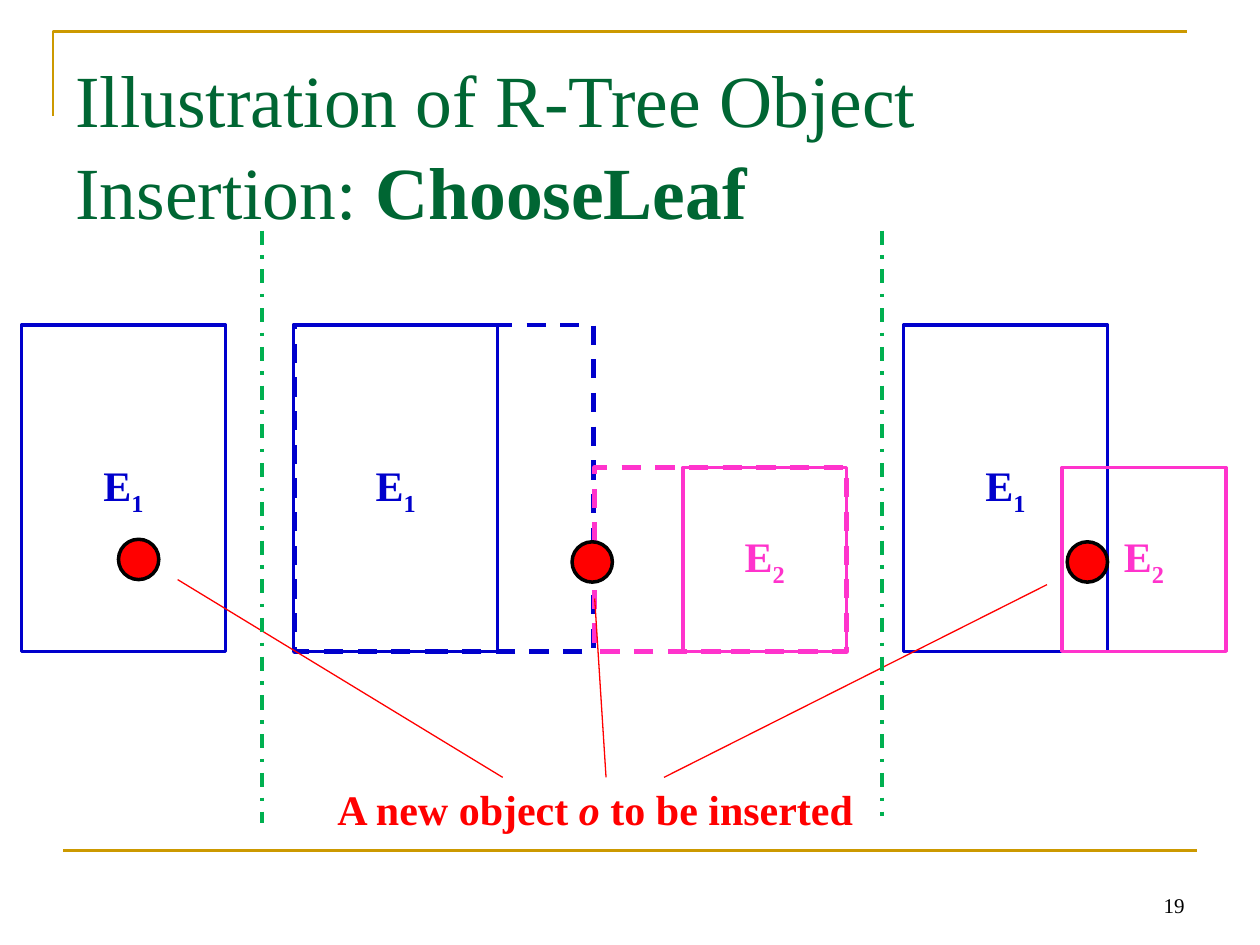
from lxml import etree
from pptx import Presentation
from pptx import util as u
from pptx.dml.color import RGBColor
from pptx.enum import dml, shapes, text
from pptx.oxml.ns import qn

# The slide is a grid of 100 columns by 75 rows; boxes are (column, row, columns, rows).
COLUMNS, ROWS = 100, 75
CELL = u.Inches(0.1)
FONT = "Times New Roman"

GOLD = RGBColor(0xCC, 0x99, 0x00)
DARK_GREEN = RGBColor(0x00, 0x66, 0x33)
GREEN = RGBColor(0x00, 0xB0, 0x50)
BLUE = RGBColor(0x00, 0x00, 0xCC)
PINK = RGBColor(0xFF, 0x33, 0xCC)
RED = RGBColor(0xFF, 0x00, 0x00)
BLACK = RGBColor(0x00, 0x00, 0x00)
WHITE = RGBColor(0xFF, 0xFF, 0xFF)

E1_SIZE = (16.2, 25.9)
E2_SIZE = (13, 14.6)
E2_ROW = E1_SIZE[1] - E2_SIZE[1]
OBJECT_SIZE = (3.2, 3.2)


def grid(*cells):
    return [round(cell * CELL) for cell in cells]


def place(panel, column, row, size):
    """Return the box of a part at an offset inside its panel."""
    return (panel[0] + column, panel[1] + row, *size)


def write(frame, pieces, size, color, align=text.PP_ALIGN.LEFT):
    """Fill the first paragraph with (words, style) pieces; style names a font flag."""
    frame.word_wrap = True
    paragraph = frame.paragraphs[0]
    paragraph.alignment = align
    for words, styles in pieces:
        run = paragraph.add_run()
        run.text = words
        run.font.name = FONT
        run.font.size = u.Pt(size)
        run.font.color.rgb = color
        run.font.bold = "bold" in styles
        run.font.italic = "italic" in styles
        if "sub" in styles:
            run.font._element.set("baseline", "-25000")


def add_text(slide, box, pieces, size, color, **layout):
    frame = slide.shapes.add_textbox(*grid(*box)).text_frame
    write(frame, pieces, size, color, **layout)
    return frame


def add_line(slide, start, end, color, width, dash=None):
    line = slide.shapes.add_connector(
        shapes.MSO_CONNECTOR.STRAIGHT, *grid(*start, *end))
    line.line.color.rgb = color
    line.line.width = u.Pt(width)
    if dash:
        line.line.dash_style = dash
    etree.SubElement(line._element.spPr, qn("a:effectLst"))


def add_outline(slide, box, color, width=2, fill=None, dash=None,
                kind=shapes.MSO_SHAPE.RECTANGLE):
    shape = slide.shapes.add_shape(kind, *grid(*box))
    shape.shadow.inherit = False
    if fill is None:
        shape.fill.background()
    else:
        shape.fill.solid()
        shape.fill.fore_color.rgb = fill
    shape.line.color.rgb = color
    shape.line.width = u.Pt(width)
    if dash:
        shape.line.dash_style = dash
    return shape


def add_entry(slide, box, number, color, fill=WHITE):
    """Draw the labelled bounding rectangle of one tree entry."""
    entry = add_outline(slide, box, color, fill=fill)
    entry.text_frame.vertical_anchor = text.MSO_ANCHOR.MIDDLE
    write(entry.text_frame, [("E", "bold"), (number, "bold sub")], 24, color,
          align=text.PP_ALIGN.CENTER)


def add_enlarged(slide, box, color):
    add_outline(slide, box, color, width=2.75, dash=dml.MSO_LINE.DASH)


def add_object(slide, box):
    add_outline(slide, box, BLACK, fill=RED, kind=shapes.MSO_SHAPE.OVAL)


def add_frame(slide, box):
    """Draw the gold corner at the top left and the rule at the foot."""
    left, top, width, height = box
    corner = slide.shapes.build_freeform(*grid(left, top + 6.7))
    corner.add_line_segments(
        [grid(left, top), grid(left + width, top)], close=False)
    outline = corner.convert_to_shape()
    outline.shadow.inherit = False
    outline.fill.background()
    outline.line.color.rgb = GOLD
    outline.line.width = u.Pt(1.5)
    foot = top + height
    add_line(slide, (left + 0.8, foot), (left + 0.8 + width, foot), GOLD, 1.5)


def add_title(slide, box):
    frame = add_text(slide, box,
                     [("Illustration of R-Tree Object Insertion: ", ""),
                      ("ChooseLeaf", "bold")], 42, DARK_GREEN)
    frame.margin_top = u.Inches(0.1)
    frame.paragraphs[0].line_spacing = 1.04


def add_contained_case(slide, panel):
    add_entry(slide, place(panel, 0, 0, E1_SIZE), "1", BLUE)
    add_object(slide, place(panel, 7.7, 17, OBJECT_SIZE))


def add_enlargement_case(slide, panel):
    add_entry(slide, place(panel, 0, 0, E1_SIZE), "1", BLUE)
    add_entry(slide, place(panel, 30.9, E2_ROW, E2_SIZE), "2", PINK)
    add_enlarged(slide, place(panel, 0.1, 0, (23.7, E1_SIZE[1])), BLUE)
    add_enlarged(slide, place(panel, 23.9, E2_ROW, (20, E2_SIZE[1])), PINK)
    add_object(slide, place(panel, 22.1, 17.2, OBJECT_SIZE))


def add_overlap_case(slide, panel):
    add_entry(slide, place(panel, 0, 0, E1_SIZE), "1", BLUE)
    add_entry(slide, place(panel, 12.6, E2_ROW, E2_SIZE), "2", PINK, fill=None)
    add_object(slide, place(panel, 13, 17.2, OBJECT_SIZE))


def add_caption(slide, box, targets):
    """Write the caption and point from it to each inserted object."""
    for offset, target in zip((14.1, 22.3, 26.9), targets):
        add_line(slide, (box[0] + offset, box[1]), target, RED, 0.75)
    add_text(slide, box, [("A new object ", "bold"), ("o", "bold italic"),
                          (" to be inserted", "bold")], 24, RED)


def add_page_number(slide, box):
    frame = add_text(slide, box, [("19", "")], 12, BLACK,
                     align=text.PP_ALIGN.RIGHT)
    frame.vertical_anchor = text.MSO_ANCHOR.BOTTOM


def main():
    deck = Presentation()
    deck.slide_width, deck.slide_height = grid(COLUMNS, ROWS)
    slide = deck.slides.add_slide(deck.slide_layouts[6])

    add_frame(slide, (4.2, 2.5, 90, 65))
    add_title(slide, (5, 3, 90, 12.5))

    panel_row = 25.8
    add_contained_case(slide, (1.7, panel_row))
    add_enlargement_case(slide, (23.3, panel_row))
    add_overlap_case(slide, (71.7, panel_row))
    add_caption(slide, (25.8, 61.7, 44.1, 5),
                [(14.1, 46), (47.2, 47.5), (83.1, 46.4)])
    for column, foot in ((20.8, 65.3), (70, 64.8)):
        add_line(slide, (column, 18.3), (column, foot), GREEN, 2,
                 dml.MSO_LINE.DASH_DOT)

    add_page_number(slide, (71.7, 68.3, 23.3, 5))
    deck.save("out.pptx")


if __name__ == "__main__":
    main()
